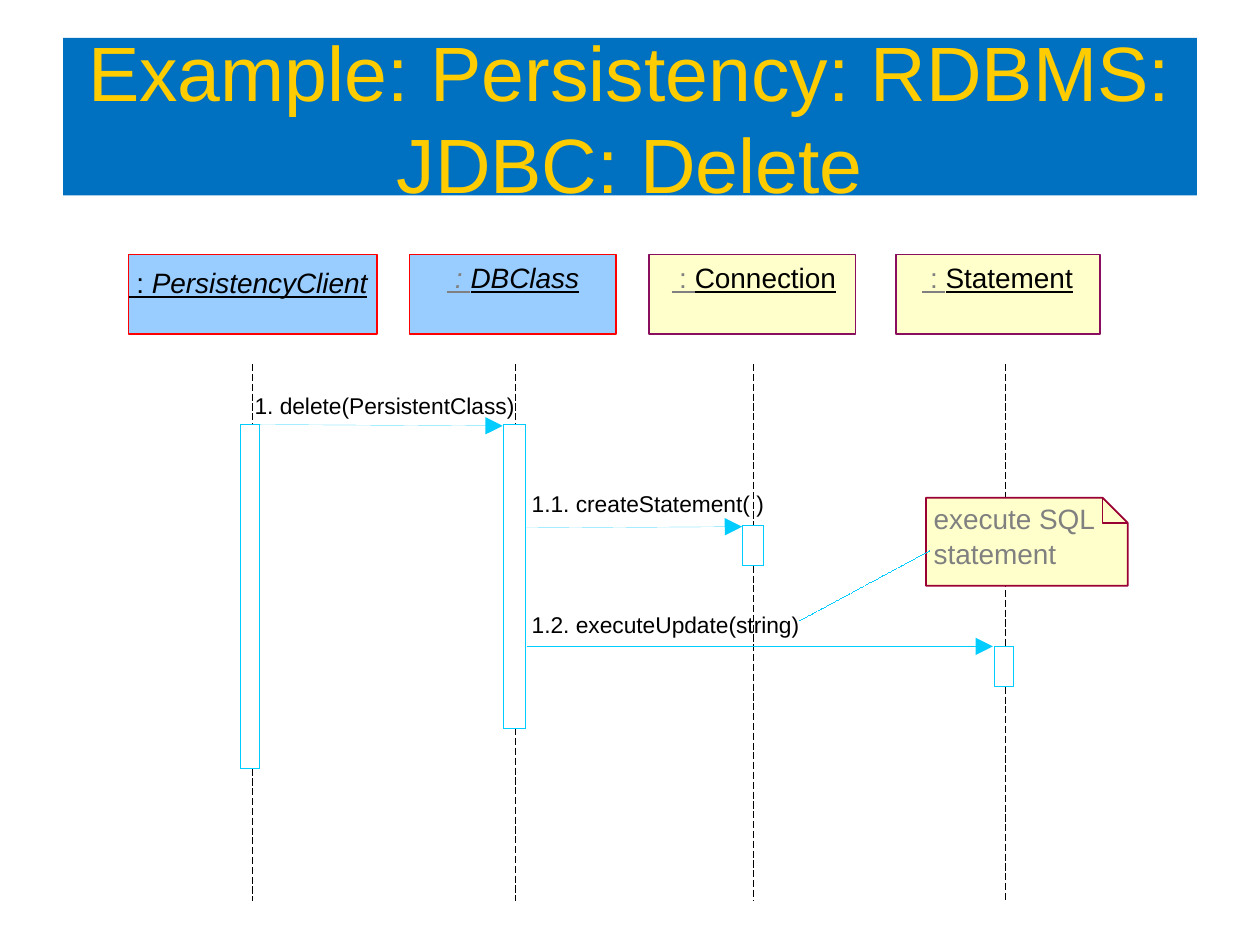
from dataclasses import dataclass

from lxml.etree import SubElement
from pptx import Presentation
from pptx.dml.color import RGBColor
from pptx.enum.dml import MSO_LINE_DASH_STYLE as DASH
from pptx.enum.shapes import MSO_CONNECTOR as CONNECTOR, MSO_SHAPE as SHAPE
from pptx.enum.text import MSO_ANCHOR as ANCHOR, MSO_AUTO_SIZE as AUTO_SIZE, PP_ALIGN as ALIGN
from pptx.oxml.ns import qn
from pptx.util import Inches, Pt


@dataclass(frozen=True)
class Theme:
    font: str = "Arial"
    title_size: int = 44
    label_size: int = 16
    message_size: int = 13
    banner: str = "0070C0"
    gold: str = "FFCC00"
    cyan: str = "00CCFF"
    black: str = "000000"
    gray: str = "808080"
    blue: str = "99CCFF"
    red: str = "FF0000"
    cream: str = "FFFFCC"
    purple: str = "8A0E5E"
    maroon: str = "990033"


class SequenceDiagram:
    def __init__(self, slide, theme):
        self.slide = slide
        self.shapes = slide.shapes
        self.theme = theme

    def stroke(self, shape, color, width):
        """Set line colour and width; zero is written out, as python-pptx omits it."""
        shape.line.color.rgb = RGBColor.from_string(color)
        shape.line._get_or_add_ln().set("w", str(int(Pt(width))))

    def style(self, shape, fill, line, width):
        shape.shadow.inherit = False
        if fill:
            shape.fill.solid()
            shape.fill.fore_color.rgb = RGBColor.from_string(fill)
        else:
            shape.fill.background()
        self.stroke(shape, line, width)

    def add_span(self, para, text, size, color, italic=None, underline=None):
        span = para.add_run()
        span.text = text
        font = span.font
        font.name, font.size = self.theme.font, Pt(size)
        font.color.rgb = RGBColor.from_string(color)
        font.italic, font.underline = italic, underline

    def title(self, text, left, top, width, height):
        box = self.shapes.title
        box.left, box.top, box.width, box.height = map(Inches, (left, top, width, height))
        box.fill.solid()
        box.fill.fore_color.rgb = RGBColor.from_string(self.theme.banner)
        frame = box.text_frame
        frame.word_wrap = True
        frame.auto_size = AUTO_SIZE.NONE
        frame.vertical_anchor = ANCHOR.MIDDLE
        para = frame.paragraphs[0]
        para.alignment = ALIGN.CENTER
        self.add_span(para, text, self.theme.title_size, self.theme.gold)

    def rectangle(self, left, top, width, height, fill, line, line_width):
        box = self.shapes.add_shape(SHAPE.RECTANGLE, *map(Inches, (left, top, width, height)))
        self.style(box, fill, line, line_width)

    def text(self, left, top, width, height):
        """Add a one-line text box with slack on the right and return its paragraph."""
        slack = 0.12
        box = self.shapes.add_textbox(*map(Inches, (left, top, width + slack, height)))
        frame = box.text_frame
        frame.margin_left = frame.margin_right = frame.margin_top = frame.margin_bottom = 0
        frame.word_wrap = False
        frame.auto_size = AUTO_SIZE.SHAPE_TO_FIT_TEXT
        return frame.paragraphs[0]

    def line(self, start, end, color, width=0, dash=None, arrow=False):
        link = self.shapes.add_connector(CONNECTOR.STRAIGHT, *map(Inches, (*start, *end)))
        self.stroke(link, color, width)
        if dash:
            link.line.dash_style = dash
        if arrow:
            SubElement(link.line._get_or_add_ln(), qn("a:tailEnd"),
                       type="triangle", w="lg", len="lg")
        SubElement(link._element.spPr, qn("a:effectLst"))

    def outline(self, points, fill, line, closed):
        corners = [(Inches(x), Inches(y)) for x, y in points]
        builder = self.shapes.build_freeform(*corners[0])
        builder.add_line_segments(corners[1:], close=closed)
        self.style(builder.convert_to_shape(), fill, line, 1)

    def participant(self, left, width, colors, label, spans):
        fill, border = colors
        self.rectangle(left, 2.02, width, 0.63, fill, border, 1)
        para = self.text(*label, 0.27)
        for text, color, italic in spans:
            self.add_span(para, text, self.theme.label_size, color, italic, True)

    def lifeline(self, x, bar_left, bar_top, bar_width, bar_height):
        """Add an activation bar with the dashed lifeline above and below it."""
        for start, end in ((2.89, bar_top), (bar_top + bar_height, 7.15)):
            self.line((x, start), (x, end), self.theme.black, 0.5, DASH.LONG_DASH)
        self.rectangle(bar_left, bar_top, bar_width, bar_height, None, self.theme.cyan, 0)

    def message(self, text, left, top, width, start, end):
        self.line(start, end, self.theme.cyan, arrow=True)
        para = self.text(left, top, width, 0.22)
        self.add_span(para, text, self.theme.message_size, self.theme.black)

    def note(self, lines, left, top, right, bottom, fold):
        theme = self.theme
        crease, ear = (right - fold, top), (right, top + fold)
        page = [(left, top), crease, ear, (right, bottom), (left, bottom)]
        self.outline(page, theme.cream, theme.maroon, True)
        self.outline([crease, (right - fold, top + fold), ear], None, theme.maroon, False)
        for row, (text, width) in enumerate(lines):
            para = self.text(left + 0.06, top + 0.03 + 0.28 * row, width, 0.27)
            self.add_span(para, text, theme.label_size, theme.gray)


def main():
    theme = Theme()
    deck = Presentation()
    deck.slide_width, deck.slide_height = Inches(10), Inches(7.5)
    diagram = SequenceDiagram(deck.slides.add_slide(deck.slide_layouts[5]), theme)
    diagram.title("Example: Persistency: RDBMS: JDBC: Delete", 0.5, 0.3, 9, 1.25)

    own, library = (theme.blue, theme.red), (theme.cream, theme.purple)
    black, gray = theme.black, theme.gray
    participants = [
        (1.02, 1.97, own, (1.02, 2.11, 1.9),
         [(" : ", black, None), ("PersistencyClient", black, True)]),
        (3.25, 1.64, own, (3.55, 2.07, 1.05), [(" : ", gray, True), ("DBClass", black, True)]),
        (5.15, 1.64, library, (5.33, 2.07, 1.31),
         [(" : ", gray, None), ("Connection", black, None)]),
        (7.11, 1.62, library, (7.32, 2.07, 1.2),
         [(" : ", gray, None), ("Statement", black, None)]),
    ]
    for participant in participants:
        diagram.participant(*participant)

    lifelines = [
        (2, 1.91, 3.37, 0.15, 2.73),
        (4.09, 4, 3.37, 0.17, 2.41),
        (5.98, 5.89, 4.17, 0.17, 0.32),
        (7.98, 7.89, 5.13, 0.15, 0.32),
    ]
    for lifeline in lifelines:
        diagram.lifeline(*lifeline)

    messages = [
        ("1. delete(PersistentClass)", 2.02, 3.11, 2.06, (2.06, 3.37), (3.99, 3.38)),
        ("1.1. createStatement( )", 4.22, 3.89, 1.84, (4.17, 4.19), (5.89, 4.18)),
        ("1.2. executeUpdate(string)", 4.22, 4.85, 2.12, (4.18, 5.13), (7.88, 5.13)),
    ]
    for message in messages:
        diagram.message(*message)

    diagram.note([("execute SQL", 1.34), ("statement", 0.97)], 7.35, 3.95, 8.95, 4.65, 0.2)
    diagram.line((7.38, 4.37), (6.34, 4.93), theme.cyan, dash=DASH.SQUARE_DOT)
    deck.save("out.pptx")


if __name__ == "__main__":
    main()
